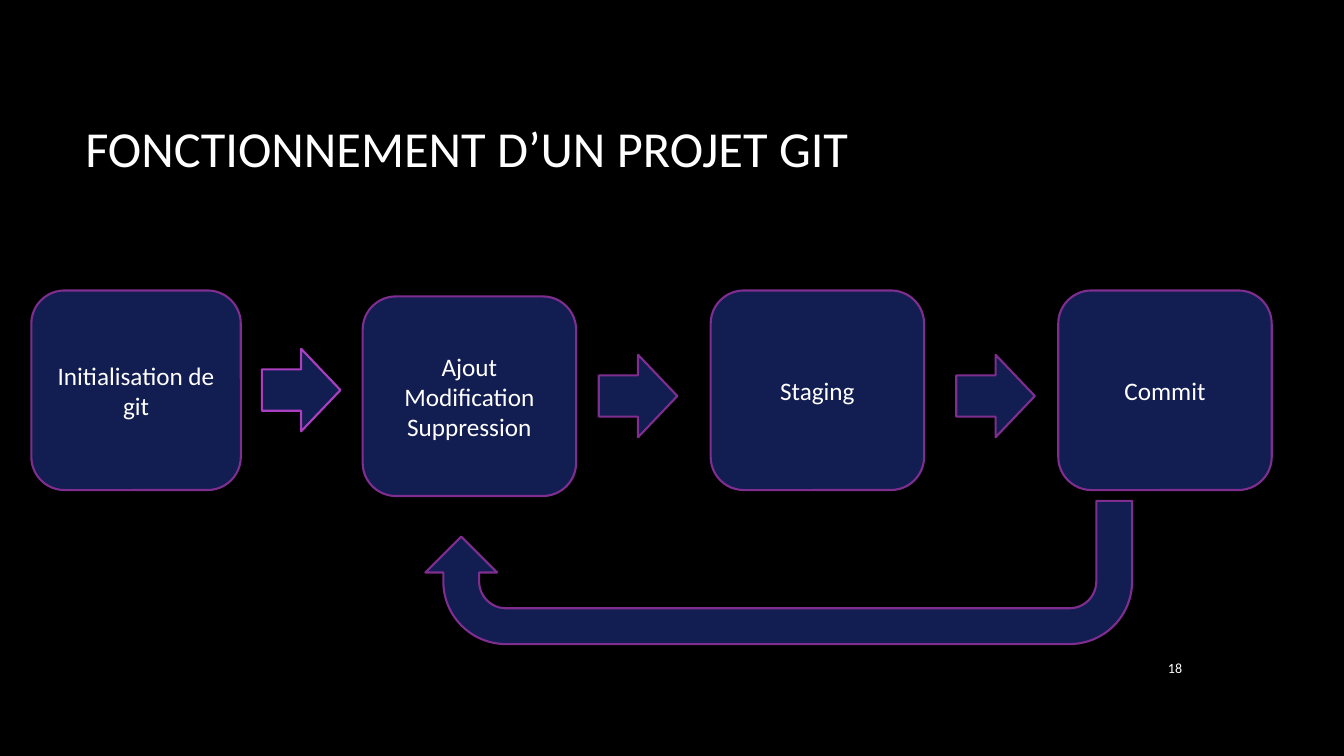
import pptx
import pptx.dml.color
import pptx.enum.shapes
import pptx.enum.text
import pptx.util

Cm = pptx.util.Cm
Pt = pptx.util.Pt
SHAPE = pptx.enum.shapes.MSO_SHAPE
ALIGN = pptx.enum.text.PP_ALIGN

BLACK = "000000"
WHITE = "FFFFFF"
NAVY = "121D51"
PURPLE = "7F2E8F"
VIOLET = "AC3EC1"

STEPS = [
    (0, 0, 5.28, ["Initialisation de git"]),
    (8.35, 0.15, 5.38, ["Ajout", "Modification", "Suppression"]),
    (17.12, 0, 5.38, ["Staging"]),
    (25.88, 0, 5.38, ["Commit"]),
]
ARROWS = [
    (5.81, 1.47, VIOLET),
    (14.3, 1.62, PURPLE),
    (23.31, 1.62, PURPLE),
]


def color(code):
    return pptx.dml.color.RGBColor.from_string(code)


def write_text(shape, lines, size, align):
    frame = shape.text_frame
    frame.word_wrap = True
    frame.vertical_anchor = pptx.enum.text.MSO_ANCHOR.MIDDLE
    for index, line in enumerate(lines):
        para = frame.paragraphs[0] if index == 0 else frame.add_paragraph()
        para.alignment = align
        span = para.add_run()
        span.text = line
        for name, value in {"name": "Calibri", "size": Pt(size)}.items():
            setattr(span.font, name, value)
        span.font.color.rgb = color(WHITE)


def add_label(page, box, text, size, align):
    label = page.shapes.add_textbox(*map(Cm, box))
    write_text(label, [text], size, align)


def add_outlined(page, kind, box, line_color=PURPLE):
    shape = page.shapes.add_shape(kind, *map(Cm, box))
    shape.shadow.inherit = False
    shape.fill.solid()
    shape.fill.fore_color.rgb = color(NAVY)
    shape.line.color.rgb = color(line_color)
    shape.line.width = Pt(1.5)
    return shape


def add_workflow(page, left, top):
    for x, y, width, lines in STEPS:
        box = (left + x, top + y, width, 5.03)
        step = add_outlined(page, SHAPE.ROUNDED_RECTANGLE, box)
        write_text(step, lines, 18, ALIGN.CENTER)
    for x, y, line_color in ARROWS:
        box = (left + x, top + y, 1.98, 2.08)
        add_outlined(page, SHAPE.RIGHT_ARROW, box, line_color)
    box = (left + 9.93, top + 5.3, 17.81, 3.61)
    return_arrow = add_outlined(page, SHAPE.U_TURN_ARROW, box)
    return_arrow.rotation = 180


def main():
    deck = pptx.Presentation()
    deck.slide_width = Cm(33.87)
    deck.slide_height = Cm(19.05)
    page = deck.slides.add_slide(deck.slide_layouts[6])
    page.background.fill.solid()
    page.background.fill.fore_color.rgb = color(BLACK)
    add_label(page, (1.9, 1.7, 28.14, 4.04),
              "FONCTIONNEMENT D’UN PROJET GIT", 36, ALIGN.LEFT)
    add_workflow(page, 0.79, 7.32)
    add_label(page, (28.52, 16.31, 1.52, 1.04), "18", 10, ALIGN.RIGHT)
    deck.save("out.pptx")


if __name__ == "__main__":
    main()
